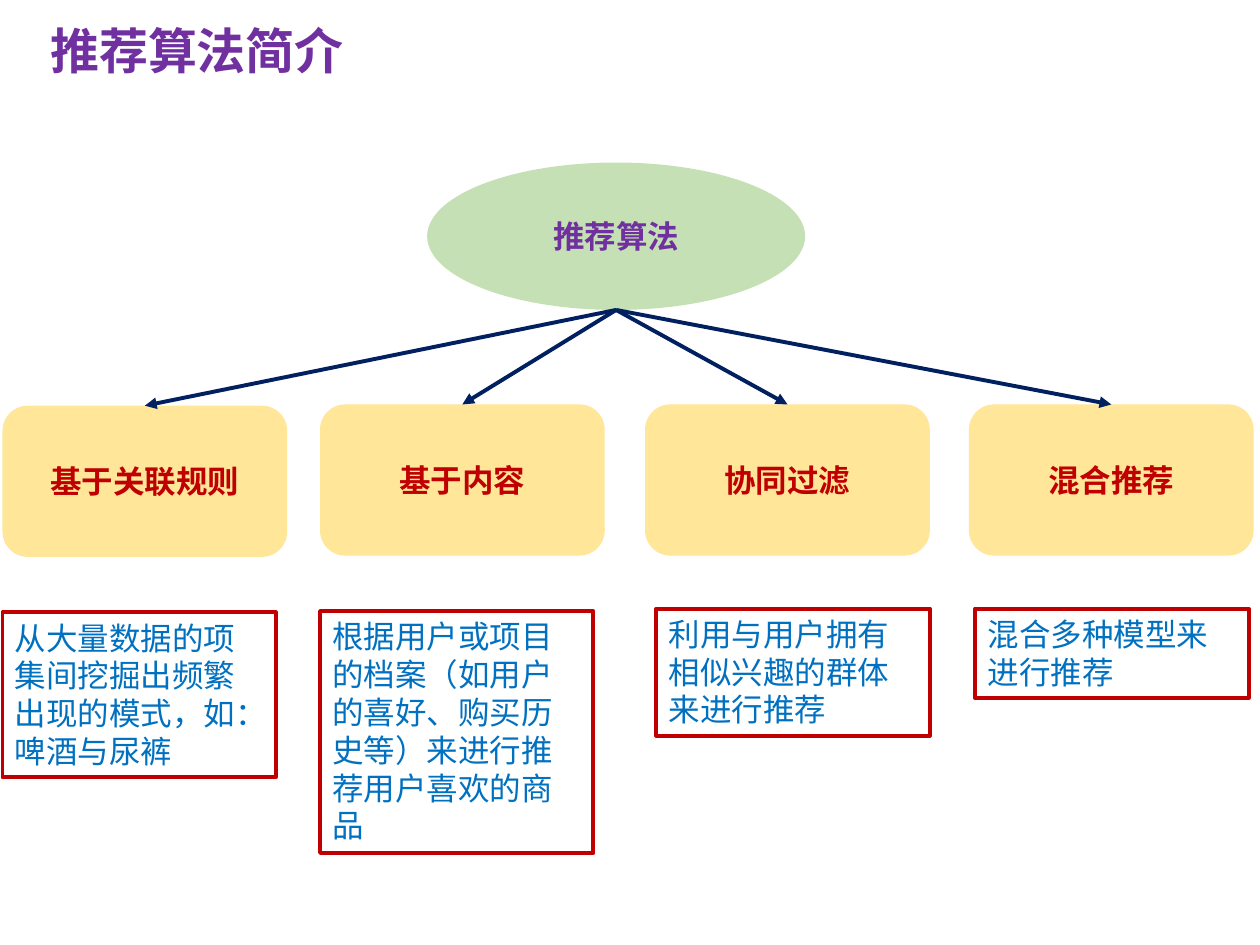
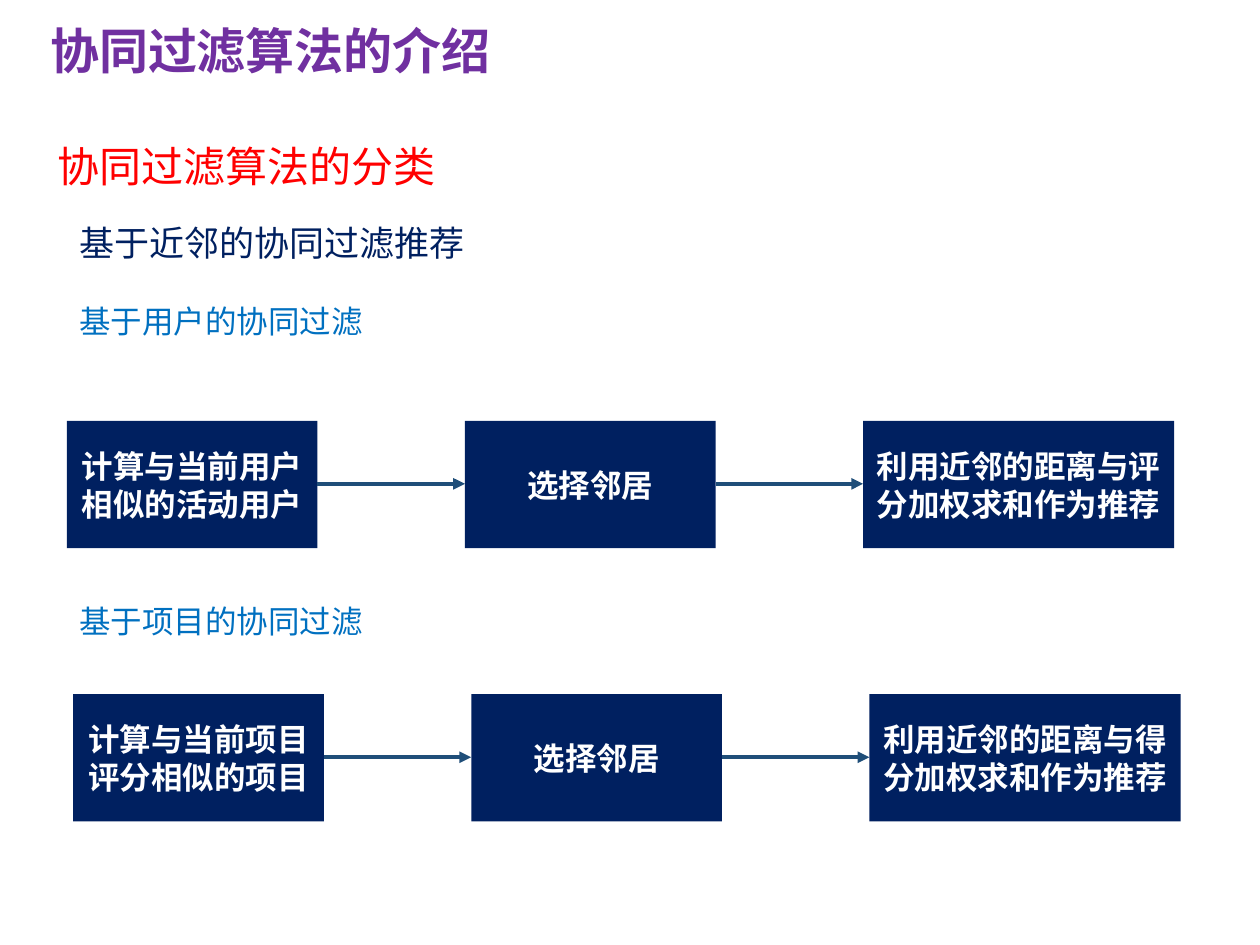
from lxml import etree
from pptx import Presentation
from pptx.dml.color import RGBColor
from pptx.enum.shapes import MSO_CONNECTOR as Link, MSO_SHAPE as Form
from pptx.enum.text import MSO_ANCHOR as Anchor, MSO_AUTO_SIZE as Fit, PP_ALIGN as Align
from pptx.oxml.ns import qn
from pptx.util import Pt

SCALE = 9144
FONT = "Noto Sans CJK SC"
PURPLE, RED, NAVY, BLUE = "7030A0", "C00000", "002060", "0070C0"
GREEN, CREAM, WHITE, STEEL = "C5E0B4", "FFE699", "FFFFFF", "1F4E79"
FLOW = {"wrap": {"word_wrap": True, "auto_size": Fit.SHAPE_TO_FIT_TEXT,
                 "vertical_anchor": Anchor.TOP},
        "para": {"alignment": Align.LEFT}}
MID = {"wrap": {"word_wrap": True, "vertical_anchor": Anchor.MIDDLE},
       "para": {"alignment": Align.CENTER}}


def px(*vals):
    return [val * SCALE for val in vals]


def paint(color, tone):
    color.rgb = RGBColor.from_string(tone)


def dress(item, vals):
    for name, val in vals.items():
        setattr(item, name, val)


class Deck:
    def __init__(self, wide, high):
        self.show = Presentation()
        size = px(wide, high)
        dress(self.show, {"slide_width": size[0], "slide_height": size[1]})

    def page(self, title):
        self.slide = self.show.slides.add_slide(self.show.slide_layouts[6])
        self.text((30, 11, 445, 57), title, 28, PURPLE, bold=True)

    def label(self, shape, words, size, tone, mode, bold=False, space=None):
        frame = shape.text_frame
        dress(frame, mode["wrap"])
        para = frame.paragraphs[0]
        dress(para, {**mode["para"], "line_spacing": space})
        run = para.add_run()
        run.text = words
        dress(run.font, {"name": FONT, "size": Pt(size), "bold": bold})
        paint(run.font.color, tone)
        face = etree.SubElement(run.font._element, qn("a:ea"))
        face.set("typeface", FONT)

    def text(self, area, words, size, tone, **opts):
        box = self.slide.shapes.add_textbox(*px(*area))
        self.label(box, words, size, tone, FLOW, **opts)

    def shape(self, form, area):
        item = self.slide.shapes.add_shape(form, *px(*area))
        item.shadow.inherit = False
        return item

    def block(self, form, area, words, fill, tone):
        item = self.shape(form, area)
        item.fill.solid()
        paint(item.fill.fore_color, fill)
        item.line.fill.background()
        self.label(item, words, 18, tone, MID, bold=True)

    def note(self, area, words):
        item = self.shape(Form.RECTANGLE, area)
        item.fill.background()
        paint(item.line.color, RED)
        item.line.width = Pt(2.25)
        self.label(item, words, 18, BLUE, FLOW)

    def arrow(self, start, end, tone):
        item = self.slide.shapes.add_connector(Link.STRAIGHT, *px(*start, *end))
        paint(item.line.color, tone)
        item.line.width = Pt(2.25)
        props = item._element.spPr
        tip = etree.SubElement(props.find(qn("a:ln")), qn("a:tailEnd"))
        tip.set("type", "triangle")
        etree.SubElement(props, qn("a:effectLst"))

    def chain(self, left, top, steps):
        high, gap = 101, 117
        mid = top + high // 2
        for rank, (words, wide) in enumerate(steps):
            if rank:
                self.arrow((left - gap, mid), (left, mid), STEEL)
            self.block(Form.RECTANGLE, (left, top, wide, high), words, NAVY, WHITE)
            left += wide + gap


def tree(deck):
    deck.page("推荐算法简介")
    deck.block(Form.OVAL, (339, 129, 300, 117), "推荐算法", GREEN, PURPLE)
    kinds = [
        (2, 322, "基于关联规则", (2, 486, 131),
         "从大量数据的项集间挖掘出频繁出现的模式，如：啤酒与尿裤"),
        (254, 321, "基于内容", (254, 485, 192),
         "根据用户或项目的档案（如用户的喜好、购买历史等）来进行推荐用户喜欢的商品"),
        (512, 321, "协同过滤", (521, 483, 101),
         "利用与用户拥有相似兴趣的群体来进行推荐"),
        (769, 321, "混合推荐", (774, 483, 71), "混合多种模型来进行推荐"),
    ]
    wide = 226
    for left, top, name, (side, head, high), words in kinds:
        deck.block(Form.ROUNDED_RECTANGLE, (left, top, wide, 120), name, CREAM, RED)
        deck.arrow((489, 246), (left + wide // 2, top), NAVY)
        deck.note((side, head, 217, high), words)


def flows(deck):
    deck.page("协同过滤算法的介绍")
    deck.text((36, 107, 598, 50), "协同过滤算法的分类", 24, "FF0000")
    deck.text((53, 154, 956, 55), "基于近邻的协同过滤推荐", 20, NAVY, space=1.5)
    rows = [
        (235, "基于用户的协同过滤", 53, 334,
         "计算与当前用户相似的活动用户", "利用近邻的距离与评分加权求和作为推荐"),
        (473, "基于项目的协同过滤", 58, 551,
         "计算与当前项目评分相似的项目", "利用近邻的距离与得分加权求和作为推荐"),
    ]
    for head, name, left, top, first, last in rows:
        deck.text((53, head, 784, 40), name, 18, BLUE)
        deck.chain(left, top, [(first, 199), ("选择邻居", 199), (last, 247)])


def main():
    deck = Deck(1000, 750)
    tree(deck)
    flows(deck)
    deck.show.save("out.pptx")


if __name__ == "__main__":
    main()
